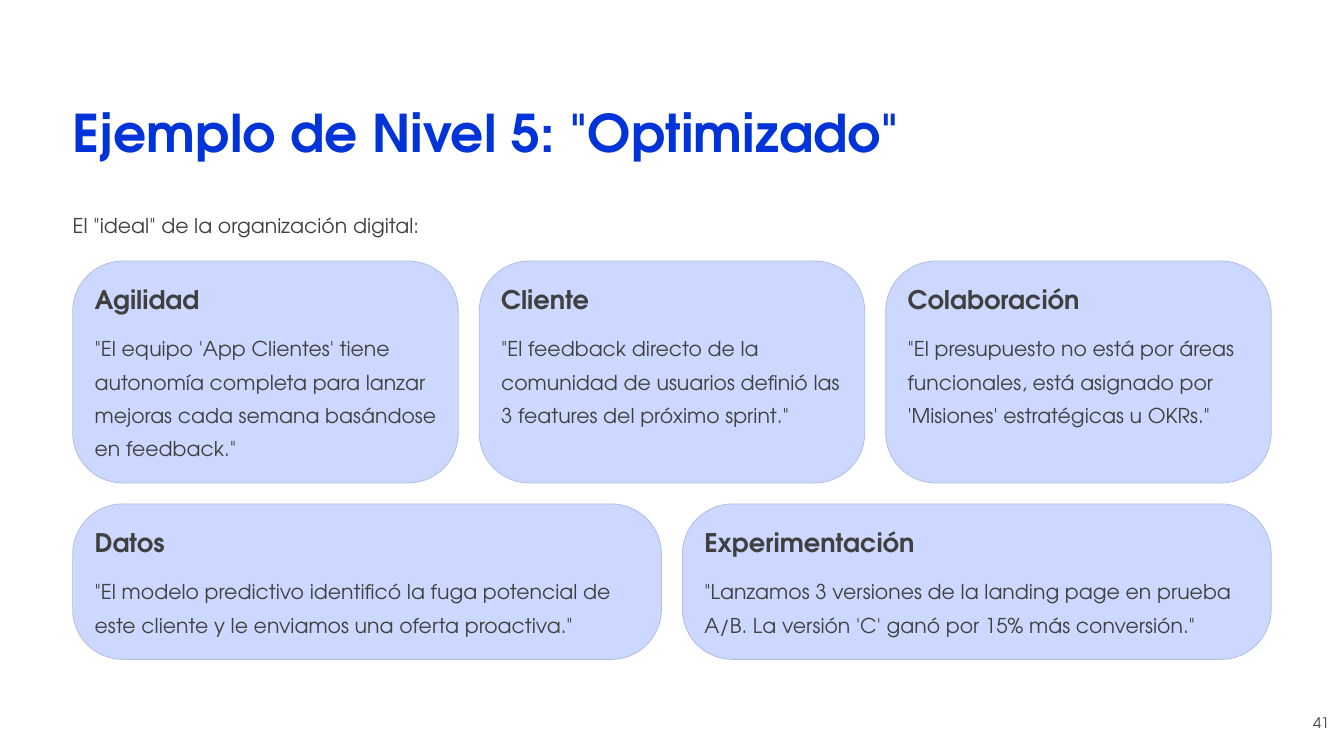
"""Build the slide with the level 5 example cards."""
from pptx import Presentation
from pptx.dml.color import RGBColor
from pptx.enum.shapes import MSO_SHAPE
from pptx.enum.text import PP_ALIGN
from pptx.util import Pt

ROUNDED = MSO_SHAPE.ROUNDED_RECTANGLE
LEFT, RIGHT = PP_ALIGN.LEFT, PP_ALIGN.RIGHT
FONT = "TeX Gyre Adventor"
COLORS = {
    "background": "FFFFFF",
    "title": "0034D9",
    "text": "404040",
    "card": "CCD8FF",
    "border": "B2BEE5",
}
MARGIN, CONTENT_WIDTH, GAP = 52, 856, 15
PADDING, RADIUS = 15.6, 35.8

CARD_ROWS = [
    (186.5, 158.5, [
        ("Agilidad", "\"El equipo 'App Clientes' tiene autonomía completa para lanzar "
                     "mejoras cada semana basándose en feedback.\""),
        ("Cliente", "\"El feedback directo de la comunidad de usuarios definió las "
                    "3 features del próximo sprint.\""),
        ("Colaboración", "\"El presupuesto no está por áreas funcionales, está asignado por "
                         "'Misiones' estratégicas u OKRs.\""),
    ]),
    (360, 111, [
        ("Datos", "\"El modelo predictivo identificó la fuga potencial de este cliente "
                  "y le enviamos una oferta proactiva.\""),
        ("Experimentación", "\"Lanzamos 3 versiones de la landing page en prueba A/B. "
                            "La versión 'C' ganó por 15% más conversión.\""),
    ]),
]


def color(name):
    return RGBColor.from_string(COLORS[name])


def add_text(slide, box, text, size, spacing, bold=False, wrap=False,
             color_name="text", align=LEFT):
    frame = slide.shapes.add_textbox(*map(Pt, box)).text_frame
    frame.margin_left = frame.margin_right = frame.margin_top = frame.margin_bottom = 0
    frame.word_wrap = wrap
    paragraph = frame.paragraphs[0]
    paragraph.alignment = align
    paragraph.line_spacing = Pt(spacing)
    run = paragraph.add_run()
    run.text = text
    run.font.name = FONT
    run.font.size = Pt(size)
    run.font.bold = bold
    run.font.color.rgb = color(color_name)


def add_card(slide, left, top, width, height, heading, body):
    shape = slide.shapes.add_shape(ROUNDED, Pt(left), Pt(top), Pt(width), Pt(height))
    shape.adjustments[0] = RADIUS / height
    shape.shadow.inherit = False
    shape.fill.solid()
    shape.fill.fore_color.rgb = color("card")
    shape.line.color.rgb = color("border")
    shape.line.width = Pt(0.6)
    text_left = left + PADDING
    add_text(slide, (text_left, top + PADDING, 186, 23), heading, 18.3, 22.9, bold=True)
    body_box = (text_left, top + 47.5, width - 2 * PADDING + 0.8, height - 47.5 - PADDING)
    add_text(slide, body_box, body, 14.6, 23.8, wrap=True)


def add_card_row(slide, top, height, cards):
    width = (CONTENT_WIDTH - GAP * (len(cards) - 1)) / len(cards)
    for index, (heading, body) in enumerate(cards):
        add_card(slide, MARGIN + index * (width + GAP), top, width, height, heading, body)


def main():
    presentation = Presentation()
    presentation.slide_width = Pt(960)
    presentation.slide_height = Pt(540)
    slide = presentation.slides.add_slide(presentation.slide_layouts[6])
    slide.background.fill.solid()
    slide.background.fill.fore_color.rgb = color("background")
    add_text(slide, (MARGIN, 70, 591, 47), "Ejemplo de Nivel 5: \"Optimizado\"",
             37.1, 46.2, bold=True, color_name="title")
    add_text(slide, (MARGIN, 146, CONTENT_WIDTH, 24),
             "El \"ideal\" de la organización digital:", 14.6, 23.8)
    for top, height, cards in CARD_ROWS:
        add_card_row(slide, top, height, cards)
    add_text(slide, (924.5, 506, 25, 16.7), "41", 10.4, 16.7, align=RIGHT)
    presentation.save("out.pptx")


if __name__ == "__main__":
    main()
